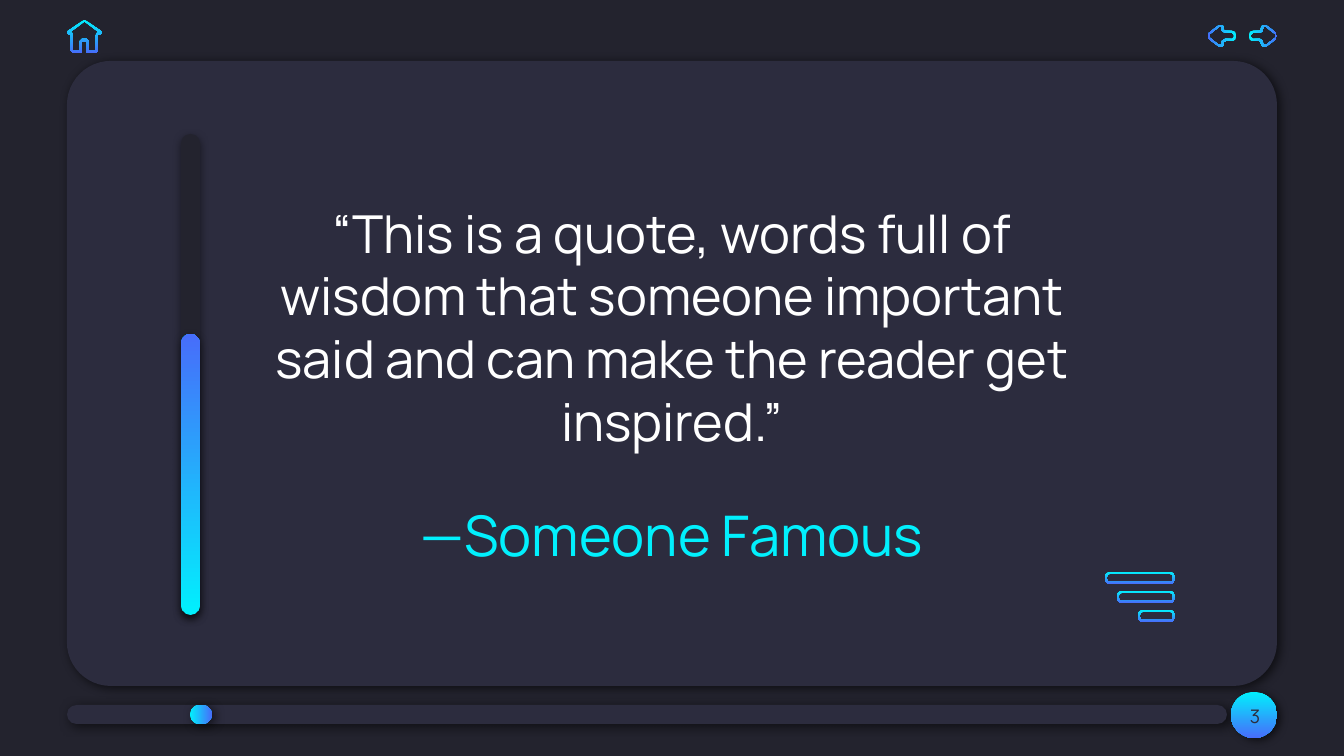
import math

from lxml import etree
from pptx import Presentation
from pptx.dml.color import RGBColor
from pptx.enum.shapes import MSO_SHAPE
from pptx.enum.text import MSO_ANCHOR, PP_ALIGN
from pptx.oxml.ns import qn
from pptx.util import Emu, Pt

PX = 914400 / 134.4
ROUNDED, OVAL = MSO_SHAPE.ROUNDED_RECTANGLE, MSO_SHAPE.OVAL
TOP, MIDDLE, BOTTOM = MSO_ANCHOR.TOP, MSO_ANCHOR.MIDDLE, MSO_ANCHOR.BOTTOM
CENTER = PP_ALIGN.CENTER
RIGHT, UP, LEFT, DOWN = 0, 90, 180, 270
THEME = {
    "font": "Manrope",
    "background": "23232E", "panel": "2C2C3E", "text": "FFFFFF",
    "cyan": "01F0FD", "blue": "476DFA", "shadow": "000000",
    "quote_size": 28, "author_size": 30, "number_size": 10,
}


def paint(shape, fill, shadow=None):
    """Fill with a theme colour name, or with the cyan-blue gradient at an angle."""
    if isinstance(fill, str):
        shape.fill.solid()
        shape.fill.fore_color.rgb = RGBColor.from_string(THEME[fill])
    else:
        shape.fill.gradient()
        shape.fill.gradient_angle = fill
        for stop, name in zip(shape.fill.gradient_stops, ("cyan", "blue")):
            stop.color.rgb = RGBColor.from_string(THEME[name])
    shape.line.fill.background()
    shape.shadow.inherit = False
    if shadow:
        alpha, blur, distance, angle = shadow
        effects = shape._element.spPr.find(qn("a:effectLst"))
        outer = etree.SubElement(
            effects, qn("a:outerShdw"), blurRad=str(Pt(blur)), dist=str(Pt(distance)),
            dir=str(angle * 60000), algn="bl", rotWithShape="0")
        color = etree.SubElement(outer, qn("a:srgbClr"), val=THEME["shadow"])
        etree.SubElement(color, qn("a:alpha"), val=str(alpha * 1000))


def add_outline_icon(contours, angle):
    """Draw an outer and an inner contour, in px, as one hollow shape."""
    builder = None
    for contour in contours:
        start, *rest = [(x * PX, y * PX) for x, y in contour]
        if builder is None:
            builder = slide.shapes.build_freeform(*start)
        else:
            builder.move_to(*start)
        builder.add_line_segments(rest, close=True)
    paint(builder.convert_to_shape(), angle)


deck = Presentation()
deck.slide_width, deck.slide_height = Emu(int(1344 * PX)), Emu(int(756 * PX))
slide = deck.slides.add_slide(deck.slide_layouts[6])
slide.background.fill.solid()
slide.background.fill.fore_color.rgb = RGBColor.from_string(THEME["background"])

# Panel, page progress and vertical gauge
soft, side, gauge = (60, 5.6, 2.2, 33), (60, 4.5, 2.2, 33), (50, 4.5, 1.5, 90)
for kind, left, top, width, height, corner, fill, shadow in (
    (ROUNDED, 67, 61, 1210, 625, 0.07, "panel", soft),
    (ROUNDED, 67, 705, 1160, 19, 0.5, "panel", soft),
    (OVAL, 1231, 692, 46, 46, None, DOWN, side),
    (ROUNDED, 181, 134, 19, 481, 0.5, "background", gauge),
    (ROUNDED, 181, 334, 19, 281, 0.5, UP, gauge),
    (ROUNDED, 190, 705, 22, 19, 0.5, RIGHT, soft),
):
    shape = slide.shapes.add_shape(
        kind, *(Emu(int(value * PX)) for value in (left, top, width, height)))
    if corner:
        shape.adjustments[0] = corner
    paint(shape, fill, shadow)

# Quote, author and page number
quote = ("“This is a quote, words full of wisdom that someone important "
         "said and can make the reader get inspired.”")
for text, left, top, width, height, anchor, size, color in (
    (quote, 262, 190, 820, 275, BOTTOM, "quote_size", "text"),
    ("—Someone Famous", 262, 488, 820, 78, TOP, "author_size", "cyan"),
    ("3", 1215, 687, 80, 58, MIDDLE, "number_size", "panel"),
):
    box = slide.shapes.add_textbox(
        *(Emu(int(value * PX)) for value in (left, top, width, height)))
    frame = box.text_frame
    frame.text = text
    frame.word_wrap = True
    frame.vertical_anchor = anchor
    frame.margin_left = frame.margin_right = Emu(int(13 * PX))
    frame.margin_top = frame.margin_bottom = Emu(int(13 * PX))
    para = frame.paragraphs[0]
    para.alignment = CENTER
    font = para.runs[0].font
    font.name, font.size = THEME["font"], Pt(THEME[size])
    font.color.rgb = RGBColor.from_string(THEME[color])

# Three hollow bars, aligned right
bars_right, bar_height, stroke = 1175, 12, 2
for row, left in enumerate((1105, 1117, 1138)):
    top = 572 + row * 19
    contours = []
    for inset, radius in ((0, 5), (stroke, 3)):
        near, far = inset + radius, bar_height - inset - radius
        corners = ((bars_right - near, top + far, 0), (left + near, top + far, 90),
                   (left + near, top + near, 180), (bars_right - near, top + near, 270))
        contours.append([
            (x + radius * math.cos(math.radians(start + turn)),
             y + radius * math.sin(math.radians(start + turn)))
            for x, y, start in corners for turn in range(0, 91, 15)])
    add_outline_icon(contours, DOWN)

# Next and previous arrows, mirrored
arrow = (
    ((0, 10), (1, 7), (4, 6), (10, 6), (12, 5), (12, 3), (13, 1), (15, 0), (18, 1),
     (27, 8), (28, 11), (27, 14), (18, 21), (15, 22), (13, 21), (12, 19), (12, 17),
     (10, 16), (4, 16), (1, 15), (0, 12)),
    ((2, 10), (4, 8), (11, 8), (14, 6), (14, 4), (15, 2), (17, 2), (26, 9), (26, 13),
     (17, 20), (15, 20), (14, 18), (14, 16), (11, 14), (4, 14), (2, 12)),
)
for left, direction, angle in ((1249, 1, RIGHT), (1236, -1, LEFT)):
    add_outline_icon([[(left + direction * x, 25 + y) for x, y in contour]
                      for contour in arrow], angle)

# Home
house = (
    ((17, 0), (18, 0), (34, 11), (35, 13), (33, 15), (31, 15), (31, 31), (29, 33),
     (20, 33), (20, 22), (15, 22), (15, 33), (6, 33), (4, 31), (4, 15), (2, 15),
     (0, 13), (1, 11)),
    ((17, 2), (18, 2), (33, 13), (30, 13), (29, 15), (29, 31), (22, 31), (22, 21),
     (20, 19), (15, 19), (13, 21), (13, 31), (6, 31), (6, 15), (5, 13), (2, 13)),
)
add_outline_icon([[(67 + x, 20 + y) for x, y in contour] for contour in house], DOWN)

deck.save("out.pptx")
